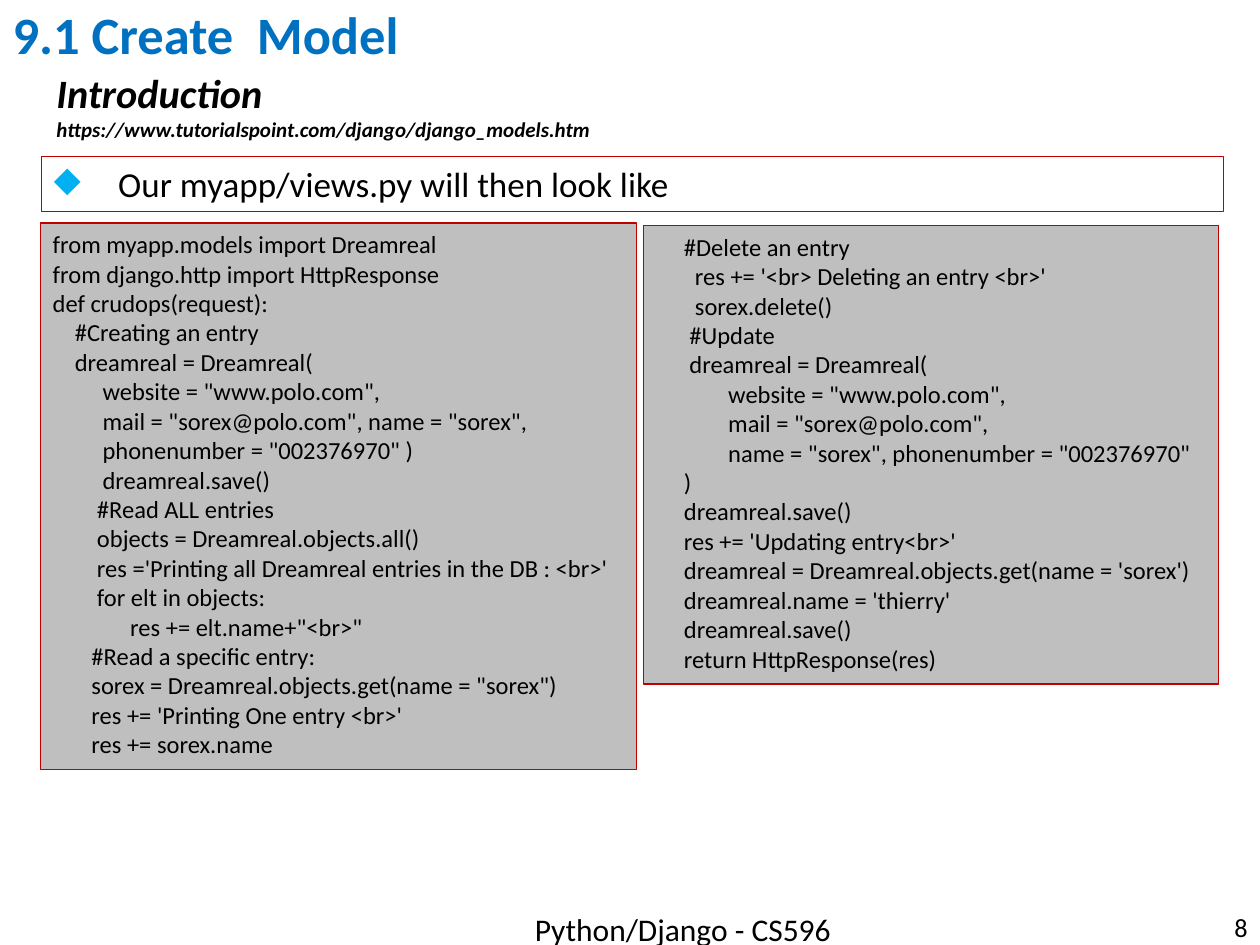
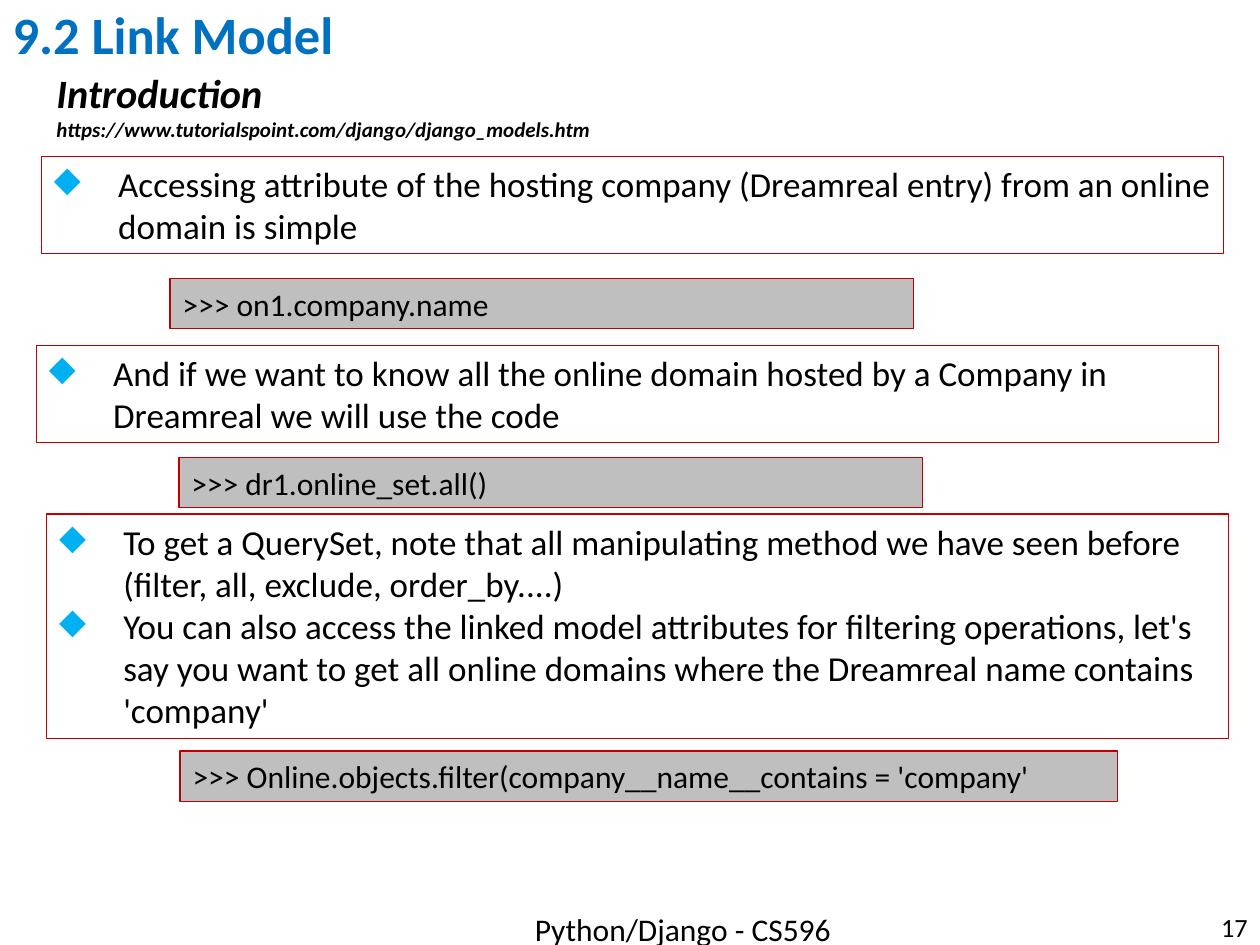
from lxml import etree
from pptx import Presentation
from pptx.dml.color import RGBColor
from pptx.enum.shapes import MSO_SHAPE
from pptx.enum.text import MSO_ANCHOR, MSO_AUTO_SIZE, PP_ALIGN
from pptx.oxml.ns import qn
from pptx.util import Inches, Pt

RECTANGLE = MSO_SHAPE.RECTANGLE
TOP, MIDDLE = MSO_ANCHOR.TOP, MSO_ANCHOR.MIDDLE
LEFT, CENTER, RIGHT = PP_ALIGN.LEFT, PP_ALIGN.CENTER, PP_ALIGN.RIGHT
GROW = MSO_AUTO_SIZE.SHAPE_TO_FIT_TEXT

FONT = "Calibri"
COLORS = {
    "title": "0070C0",
    "text": "000000",
    "bullet": "00B0F0",
    "code": "BFBFBF",
    "border": "C00000",
}
TITLE_ONLY = 5
BULLET_INDENT = Inches(0.51)
BULLET_WIDTH = 9.38
CODE_LINE_HEIGHT = 0.4
SOURCE_LINK = "https://www.tutorialspoint.com/django/django_models.htm"
FOOTER = "Python/Django - CS596"

VIEW_CODE_START = """\
from myapp.models import Dreamreal
from django.http import HttpResponse
def crudops(request):
    #Creating an entry
    dreamreal = Dreamreal(
         website = "www.polo.com",
         mail = "sorex@polo.com", name = "sorex",
         phonenumber = "002376970" )
         dreamreal.save()
        #Read ALL entries
        objects = Dreamreal.objects.all()
        res ='Printing all Dreamreal entries in the DB : <br>'
        for elt in objects:
              res += elt.name+"<br>"
       #Read a specific entry:
       sorex = Dreamreal.objects.get(name = "sorex")
       res += 'Printing One entry <br>'
       res += sorex.name"""

VIEW_CODE_END = """\
     #Delete an entry
       res += '<br> Deleting an entry <br>'
       sorex.delete()
      #Update
      dreamreal = Dreamreal(
             website = "www.polo.com",
             mail = "sorex@polo.com",
             name = "sorex", phonenumber = "002376970"
     )
     dreamreal.save()
     res += 'Updating entry<br>'
     dreamreal = Dreamreal.objects.get(name = 'sorex')
     dreamreal.name = 'thierry'
     dreamreal.save()
     return HttpResponse(res)"""


def color(name):
    return RGBColor.from_string(COLORS[name])


def style(paragraph, size, color_name="text", align=LEFT, bold=False, italic=False):
    paragraph.alignment = align
    font = paragraph.font
    font.name, font.size = FONT, Pt(size)
    font.bold, font.italic = bold, italic
    font.color.rgb = color(color_name)


def add_bullet(paragraph):
    properties = paragraph._p.get_or_add_pPr()
    properties.set("marL", str(BULLET_INDENT))
    properties.set("indent", str(-BULLET_INDENT))
    bullet_color = etree.SubElement(properties, qn("a:buClr"))
    etree.SubElement(bullet_color, qn("a:srgbClr"), val=COLORS["bullet"])
    etree.SubElement(properties, qn("a:buChar"), char="◆")


def add_text(slide, box, text, anchor=TOP):
    """Add a wrapping text box and return its paragraphs."""
    frame = slide.shapes.add_textbox(*map(Inches, box)).text_frame
    frame.word_wrap = True
    frame.vertical_anchor = anchor
    frame.text = text
    return frame.paragraphs


def add_box(slide, box, text):
    """Add an outlined rectangle holding left-aligned text."""
    shape = slide.shapes.add_shape(RECTANGLE, *map(Inches, box))
    shape.shadow.inherit = False
    shape.fill.background()
    shape.line.color.rgb = color("border")
    shape.line.width = Pt(0.75)
    frame = shape.text_frame
    frame.word_wrap = True
    frame.auto_size = GROW
    frame.vertical_anchor = TOP
    frame.text = text
    return shape


def add_bullet_box(slide, left, top, height, *points):
    shape = add_box(slide, (left, top, BULLET_WIDTH, height), "\n".join(points))
    for paragraph in shape.text_frame.paragraphs:
        add_bullet(paragraph)
        style(paragraph, 20)


def add_code_box(slide, box, code, size):
    shape = add_box(slide, box, code)
    shape.fill.solid()
    shape.fill.fore_color.rgb = color("code")
    for paragraph in shape.text_frame.paragraphs:
        style(paragraph, size)


def add_lesson_slide(presentation, title_text, number):
    """Add a slide with the shared title, heading, footer and number."""
    slide = presentation.slides.add_slide(presentation.slide_layouts[TITLE_ONLY])

    # Title
    title = slide.shapes.title
    title.left, title.top, title.width, title.height = map(Inches, (0, -0.03, 10, 0.66))
    title.text_frame.text = title_text
    title.text_frame.vertical_anchor = MIDDLE
    paragraph = title.text_frame.paragraphs[0]
    paragraph.line_spacing = 0.9
    style(paragraph, 30, "title", bold=True)

    # Heading with its source
    heading, link = add_text(slide, (0.35, 0.49, 6.37, 0.69), f"Introduction\n{SOURCE_LINK}")
    style(heading, 23, bold=True, italic=True)
    style(link, 12, bold=True, italic=True)

    # Footer and slide number
    style(add_text(slide, (3.08, 7.17, 4.68, 0.4), FOOTER)[0], 18, align=CENTER)
    style(add_text(slide, (7.75, 7.16, 2.25, 0.4), number, MIDDLE)[0], 15, align=RIGHT)
    return slide


def build_create_model(presentation):
    slide = add_lesson_slide(presentation, "9.1 Create  Model", "8")
    add_bullet_box(slide, 0.33, 1.24, 0.44, "Our myapp/views.py will then look like")
    add_code_box(slide, (0.32, 1.77, 4.73, 4.34), VIEW_CODE_START, 14)
    add_code_box(slide, (5.11, 1.79, 4.56, 3.64), VIEW_CODE_END, 14)


def build_link_model(presentation):
    slide = add_lesson_slide(presentation, "9.2 Link Model", "17")

    # Explanations
    add_bullet_box(
        slide, 0.33, 1.24, 0.77,
        "Accessing attribute of the hosting company (Dreamreal entry) "
        "from an online domain is simple")
    add_bullet_box(
        slide, 0.29, 2.74, 0.77,
        "And if we want to know all the online domain hosted by a Company "
        "in Dreamreal we will use the code")
    add_bullet_box(
        slide, 0.37, 4.08, 1.78,
        "To get a QuerySet, note that all manipulating method we have seen before "
        "(filter, all, exclude, order_by....)",
        "You can also access the linked model attributes for filtering operations, "
        "let's say you want to get all online domains where the Dreamreal name "
        "contains 'company'")

    # Shell commands
    commands = [
        (1.35, 2.21, 5.9, ">>> on1.company.name"),
        (1.42, 3.63, 5.9, ">>> dr1.online_set.all()"),
        (1.43, 5.96, 7.44, ">>> Online.objects.filter(company__name__contains = 'company'"),
    ]
    for left, top, width, command in commands:
        add_code_box(slide, (left, top, width, CODE_LINE_HEIGHT), command, 18)


def main():
    presentation = Presentation()
    presentation.slide_width, presentation.slide_height = Inches(10), Inches(7.5)
    build_create_model(presentation)
    build_link_model(presentation)
    presentation.save("out.pptx")


if __name__ == "__main__":
    main()
